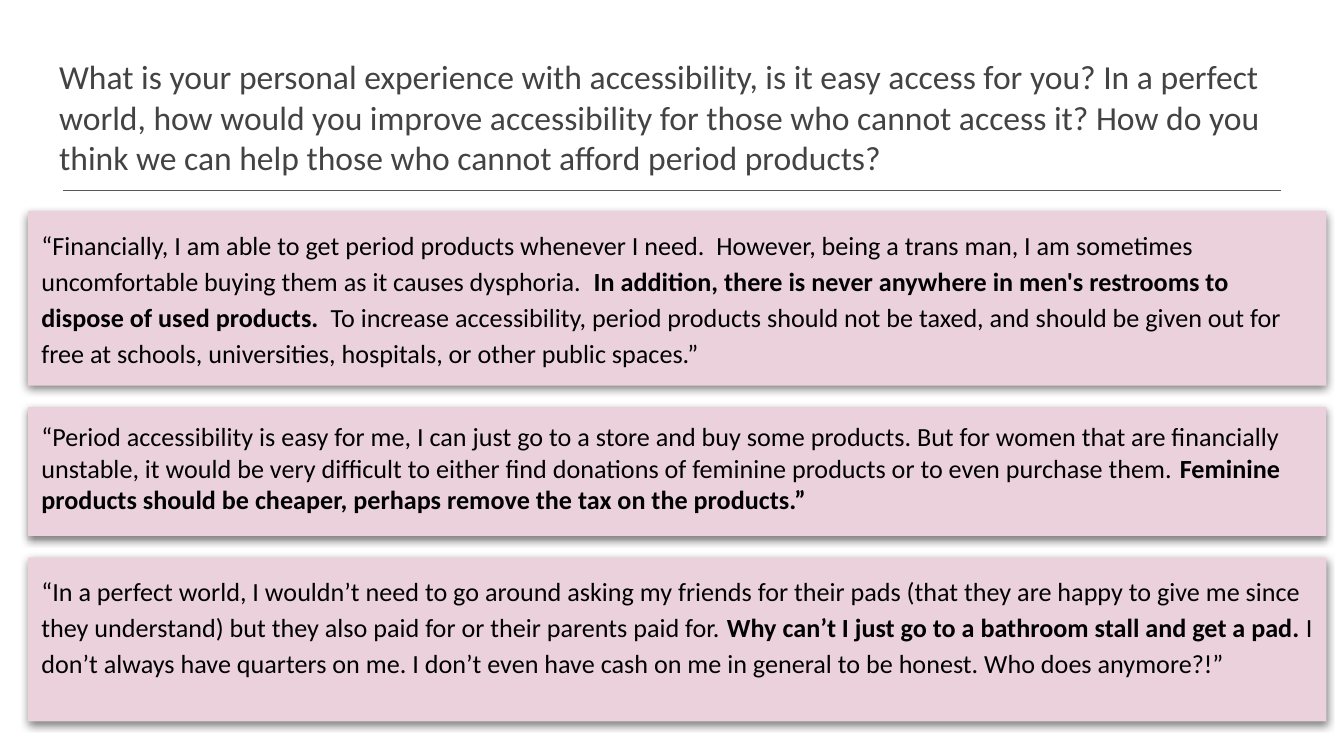
from lxml import etree
from pptx import Presentation
from pptx.dml.color import RGBColor
from pptx.enum import shapes, text
from pptx.oxml import ns
from pptx.util import Pt

COLORS = {"title": "434343", "quote": "000000", "panel": "EAD1DC",
          "rule": "595959", "shadow": "000000"}
FONT = "Calibri"
MARGIN = 7.2
PANEL_LEFT, PANEL_TOP, PANEL_WIDTH, PANEL_GAP = 15.1, 113, 695.5, 11.5

TITLE = ("What is your personal experience with accessibility, is it easy access for you? "
         "In a perfect world, how would you improve accessibility for those who cannot "
         "access it? How do you think we can help those who cannot afford period products?")

# Each quote: panel height, line spacing, (text, bold) spans
QUOTES = [
    (93.6, 1.15, [
        ("“Financially, I am able to get period products whenever I need.  However, being "
         "a trans man, I am sometimes uncomfortable buying them as it causes dysphoria.  ", False),
        ("In addition, there is never anywhere in men's restrooms to dispose of used "
         "products. ", True),
        (" To increase accessibility, period products should not be taxed, and should be given "
         "out for free at schools, universities, hospitals, or other public spaces.”", False),
    ]),
    (69.1, 1.0, [
        ("“Period accessibility is easy for me, I can just go to a store and buy some products. "
         "But for women that are financially unstable, it would be very difficult to either "
         "find donations of feminine products or to even purchase them. ", False),
        ("Feminine products should be cheaper, perhaps remove the tax on the products.”", True),
    ]),
    (87.8, 1.15, [
        ("“In a perfect world, I wouldn’t need to go around asking my friends for their pads "
         "(that they are happy to give me since they understand) but they also paid for or "
         "their parents paid for. ", False),
        ("Why can’t I just go to a bathroom stall and get a pad.", True),
        (" I don’t always have quarters on me. I don’t even have cash on me in general to be "
         "honest. Who does anymore?!”", False),
    ]),
]


def color(name):
    return RGBColor.from_string(COLORS[name])


def write_text(box, spans, size, color_name, spacing=1.0):
    frame = box.text_frame
    frame.word_wrap = True
    frame.auto_size = text.MSO_AUTO_SIZE.NONE
    frame.vertical_anchor = text.MSO_ANCHOR.TOP
    frame.margin_left = frame.margin_right = Pt(MARGIN)
    frame.margin_top = frame.margin_bottom = Pt(MARGIN)
    para = frame.paragraphs[0]
    para.alignment = text.PP_ALIGN.LEFT
    para.line_spacing = spacing
    para.space_before = Pt(0)
    for words, bold in spans:
        span = para.add_run()
        span.text = words
        span.font.name = FONT
        span.font.size = Pt(size)
        span.font.bold = bold
        span.font.color.rgb = color(color_name)


def add_title(page):
    title = page.shapes.title
    title.left, title.top = Pt(24.5), Pt(23)
    title.width, title.height = Pt(671), Pt(45.4)
    write_text(title, [(TITLE, False)], 18, "title")


def add_rule(page, left, right, top):
    rule = page.shapes.add_connector(shapes.MSO_CONNECTOR.STRAIGHT,
                                     Pt(left), Pt(top), Pt(right), Pt(top))
    rule.line.color.rgb = color("rule")
    rule.line.width = Pt(0.75)
    etree.SubElement(rule._element.spPr, ns.qn("a:effectLst"))


def add_drop_shadow(shape):
    """Cast a soft, half-transparent shadow straight down."""
    shape.shadow.inherit = False
    effects = shape._element.spPr.find(ns.qn("a:effectLst"))
    shadow = etree.SubElement(effects, ns.qn("a:outerShdw"), blurRad=str(Pt(4.5)),
                              dist=str(Pt(1.5)), dir="5400000", algn="bl", rotWithShape="0")
    tint = etree.SubElement(shadow, ns.qn("a:srgbClr"), val=COLORS["shadow"])
    etree.SubElement(tint, ns.qn("a:alpha"), val="50000")


def add_quote(page, top, height, spacing, spans):
    panel = page.shapes.add_shape(shapes.MSO_SHAPE.RECTANGLE, Pt(PANEL_LEFT), Pt(top),
                                  Pt(PANEL_WIDTH), Pt(height))
    panel.fill.solid()
    panel.fill.fore_color.rgb = color("panel")
    panel.line.fill.background()
    add_drop_shadow(panel)
    write_text(panel, spans, 14, "quote", spacing)


def main():
    deck = Presentation()
    deck.slide_width, deck.slide_height = Pt(720), Pt(405)
    page = deck.slides.add_slide(deck.slide_layouts[5])
    add_title(page)
    add_rule(page, 34, 686, 102.2)
    top = PANEL_TOP
    for height, spacing, spans in QUOTES:
        add_quote(page, top, height, spacing, spans)
        top += height + PANEL_GAP
    deck.save("out.pptx")


if __name__ == "__main__":
    main()
